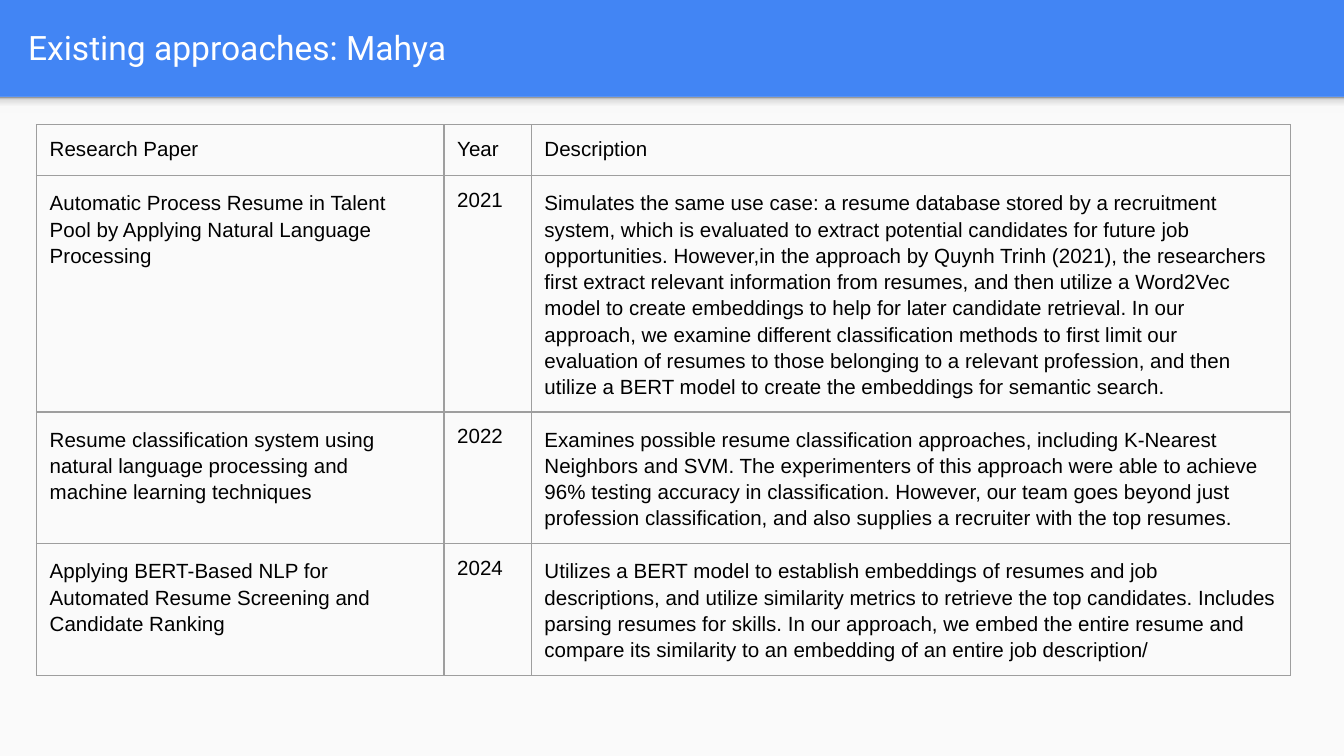
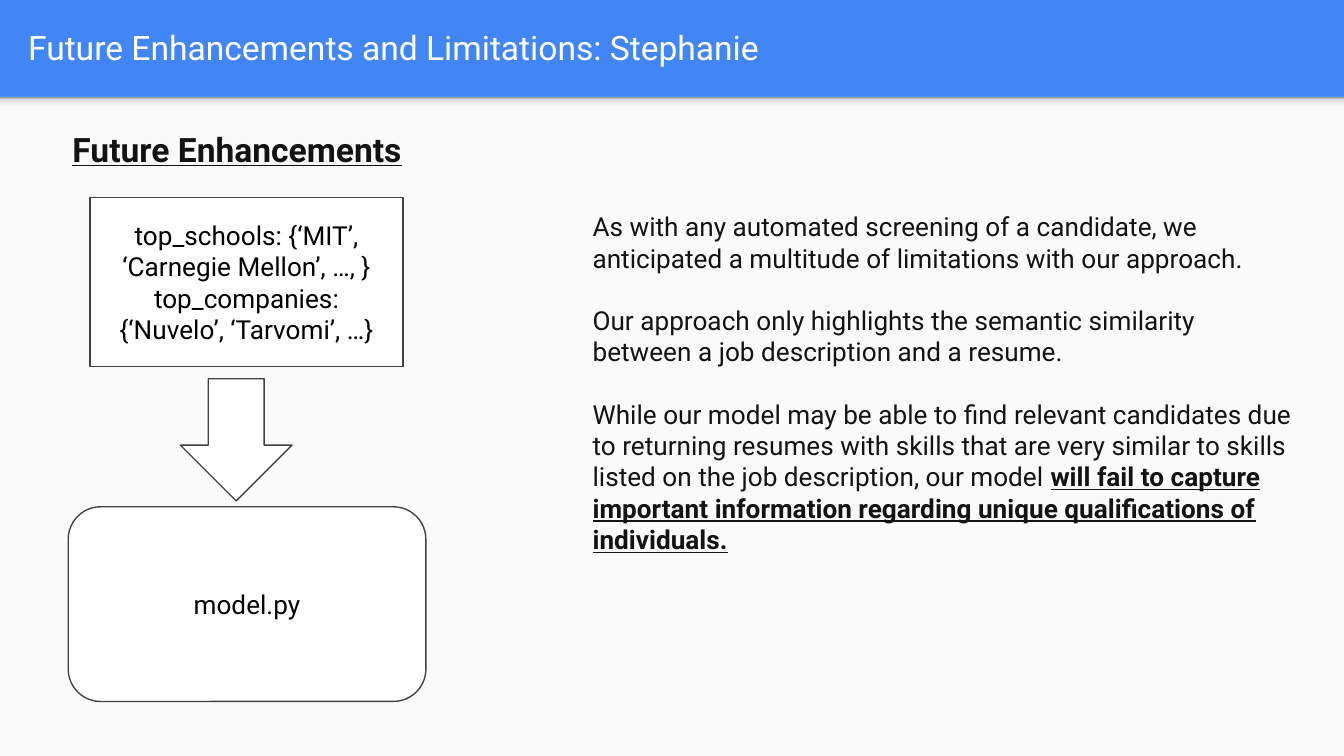
from lxml.etree import SubElement
from pptx import Presentation
from pptx.dml.color import RGBColor
from pptx.enum.shapes import MSO_SHAPE
from pptx.enum.text import MSO_ANCHOR, MSO_AUTO_SIZE, PP_ALIGN
from pptx.oxml.ns import qn
from pptx.util import Cm, Pt

BLUE = RGBColor(0x42, 0x85, 0xF4)
PAPER = RGBColor(0xFA, 0xFA, 0xFA)
WHITE = RGBColor(0xFF, 0xFF, 0xFF)
BLACK = RGBColor(0, 0, 0)
INK = RGBColor(0x13, 0x13, 0x13)
EDGE = RGBColor(0x42, 0x42, 0x42)
GRID = RGBColor(0x9E, 0x9E, 0x9E)
SHADE = [(0, RGBColor(0xF9, 0xF9, 0xF9)), (36, RGBColor(0xF9, 0xF9, 0xF9)),
         (80, RGBColor(0xDE, 0xDE, 0xDE)), (100, RGBColor(0x99, 0x99, 0x99))]

WIDTH, HEIGHT, BAND = 25.4, 14.29, 1.83
INSET = Cm(0.25)
BODY = "Roboto"

PAPERS = [
    ("Research Paper", "Year", "Description"),
    ("Automatic Process Resume in Talent Pool by Applying Natural Language Processing",
     "2021",
     "Simulates the same use case: a resume database stored by a recruitment system, "
     "which is evaluated to extract potential candidates for future job opportunities. "
     "However,in the approach by Quynh Trinh (2021), the researchers first extract "
     "relevant information from resumes, and then utilize a Word2Vec model to create "
     "embeddings to help for later candidate retrieval. In our approach, we examine "
     "different classification methods to first limit our evaluation of resumes to those "
     "belonging to a relevant profession, and then utilize a BERT model to create the "
     "embeddings for semantic search."),
    ("Resume classification system using natural language processing and machine "
     "learning techniques",
     "2022",
     "Examines possible resume classification approaches, including K-Nearest Neighbors "
     "and SVM. The experimenters of this approach were able to achieve 96% testing "
     "accuracy in classification. However, our team goes beyond just profession "
     "classification, and also supplies a recruiter with the top resumes."),
    ("Applying BERT-Based NLP for Automated Resume Screening and Candidate Ranking",
     "2024",
     "Utilizes a BERT model to establish embeddings of resumes and job descriptions, and "
     "utilize similarity metrics to retrieve the top candidates. Includes parsing resumes "
     "for skills. In our approach, we embed the entire resume and compare its similarity "
     "to an embedding of an entire job description/"),
]
COLS = [7.7, 1.65, 14.35]
ROWS = [0.96, 4.46, 2.49, 2.49]

SCHOOLS = ["top_schools: {‘MIT’, ‘Carnegie Mellon’, …, }",
           "top_companies: {‘Nuvelo’, ‘Tarvomi’, …}"]
LIMITS = [
    "As with any automated screening of a candidate, we anticipated a multitude of "
    "limitations with our approach.",
    "Our approach only highlights the semantic similarity between a job description and "
    "a resume.",
    "While our model may be able to find relevant candidates due to returning resumes "
    "with skills that are very similar to skills listed on the job description, our model ",
]
STRESS = ("will fail to capture important information regarding unique qualifications of "
          "individuals.")


def style(font, size, color, name=BODY):
    font.name, font.size, font.color.rgb = name, Pt(size), color


def write(frame, lines, size, color, align=PP_ALIGN.LEFT, gap=0):
    """Fill a text frame with one paragraph per line."""
    frame.word_wrap = True
    frame.auto_size = MSO_AUTO_SIZE.NONE
    frame.margin_left = frame.margin_right = INSET
    frame.margin_top = frame.margin_bottom = INSET
    for i, line in enumerate(lines):
        para = frame.add_paragraph() if i else frame.paragraphs[0]
        para.text = line
        para.alignment = align
        if i and gap:
            para.space_before = Pt(gap)
        style(para.font, size, color)


def add_box(slide, kind, box, fill=None, edge=None):
    shape = slide.shapes.add_shape(kind, *map(Cm, box))
    shape.shadow.inherit = False
    if fill is not None:
        shape.fill.solid()
        shape.fill.fore_color.rgb = fill
    if edge is None:
        shape.line.fill.background()
    else:
        shape.line.color.rgb = edge
        shape.line.width = Pt(0.75)
    return shape


def add_text(slide, box, lines, size, gap=0):
    frame = slide.shapes.add_textbox(*map(Cm, box)).text_frame
    write(frame, lines, size, INK, gap=gap)
    return frame


def dress(slide):
    """Give the slide's layout the blue ground, the page and its top shadow."""
    layout = slide.slide_layout
    layout.background.fill.solid()
    layout.background.fill.fore_color.rgb = BLUE
    page = add_box(slide, MSO_SHAPE.RECTANGLE, (0, BAND, WIDTH, HEIGHT - BAND), PAPER)
    shade = add_box(slide, MSO_SHAPE.RECTANGLE, (0, BAND, WIDTH, 0.3))
    shade.fill.gradient()
    shade.fill.gradient_angle = 90
    stops = shade._element.spPr.find(".//" + qn("a:gsLst"))
    for stop in list(stops):
        stops.remove(stop)
    for place, color in SHADE:
        stop = SubElement(stops, qn("a:gs"), pos=str(place * 1000))
        SubElement(stop, qn("a:srgbClr"), val=str(color))
    for shape in (page, shade):
        layout.shapes._spTree.append(shape._element)


def add_title(slide, text):
    title = slide.shapes.title
    title.left, title.top, title.width, title.height = map(Cm, (0.28, 0.05, 24.5, 1.68))
    write(title.text_frame, [text], 18, WHITE)
    title.text_frame.vertical_anchor = MSO_ANCHOR.MIDDLE


def rule_cell(cell):
    """Draw thin grey borders on all sides of a cell."""
    props = cell._tc.get_or_add_tcPr()
    for side in ("a:lnL", "a:lnR", "a:lnT", "a:lnB"):
        line = SubElement(props, qn(side), w=str(Pt(0.75)))
        fill = SubElement(line, qn("a:solidFill"))
        SubElement(fill, qn("a:srgbClr"), val=str(GRID))


def add_grid(slide, left, top):
    """Place the table of papers with its corner at left, top."""
    box = (left, top, sum(COLS), sum(ROWS))
    table = slide.shapes.add_table(len(ROWS), len(COLS), *map(Cm, box)).table
    table.first_row = table.horz_banding = False
    for col, width in zip(table.columns, COLS):
        col.width = Cm(width)
    for r, texts in enumerate(PAPERS):
        table.rows[r].height = Cm(ROWS[r])
        for c, text in enumerate(texts):
            cell = table.cell(r, c)
            rule_cell(cell)
            cell.fill.background()
            cell.margin_left = cell.margin_right = INSET
            cell.margin_top = cell.margin_bottom = INSET
            cell.text = text
            para = cell.text_frame.paragraphs[0]
            if r and c != 1:
                para.line_spacing = 1.15
            style(para.font, 11, BLACK, "Arial")


def add_flow(slide, left, top):
    """Place the heading and the flow from sets to model."""
    head = add_text(slide, (left, top, 8.05, 1.07), ["Future Enhancements"], 18)
    head.paragraphs[0].font.bold = head.paragraphs[0].font.underline = True
    parts = [
        (MSO_SHAPE.ROUNDED_RECTANGLE, (0.17, 7.4, 6.76, 3.68), ["model.py"]),
        (MSO_SHAPE.DOWN_ARROW, (2.29, 4.98, 2.11, 2.31), []),
        (MSO_SHAPE.RECTANGLE, (0.58, 1.55, 5.92, 3.2), SCHOOLS),
    ]
    for kind, (x, y, width, height), lines in parts:
        box = (left + x, top + y, width, height)
        shape = add_box(slide, kind, box, WHITE, EDGE)
        write(shape.text_frame, lines, 14, BLACK, PP_ALIGN.CENTER)
        shape.text_frame.vertical_anchor = MSO_ANCHOR.MIDDLE


def add_limits(slide, box):
    frame = add_text(slide, box, LIMITS, 14, gap=16.6)
    run = frame.paragraphs[-1].add_run()
    run.text = STRESS
    run.font.bold = run.font.underline = True


def main():
    deck = Presentation()
    deck.slide_width, deck.slide_height = Cm(WIDTH), Cm(HEIGHT)
    layout = deck.slide_layouts[5]

    works = deck.slides.add_slide(layout)
    dress(works)
    add_title(works, "Existing approaches: Mahya")
    add_grid(works, 0.69, 2.36)

    future = deck.slides.add_slide(layout)
    add_title(future, "Future Enhancements and Limitations: Stephanie")
    add_flow(future, 1.12, 2.18)
    add_limits(future, (10.95, 3.73, 13.84, 5.03))

    deck.save("out.pptx")


if __name__ == "__main__":
    main()
